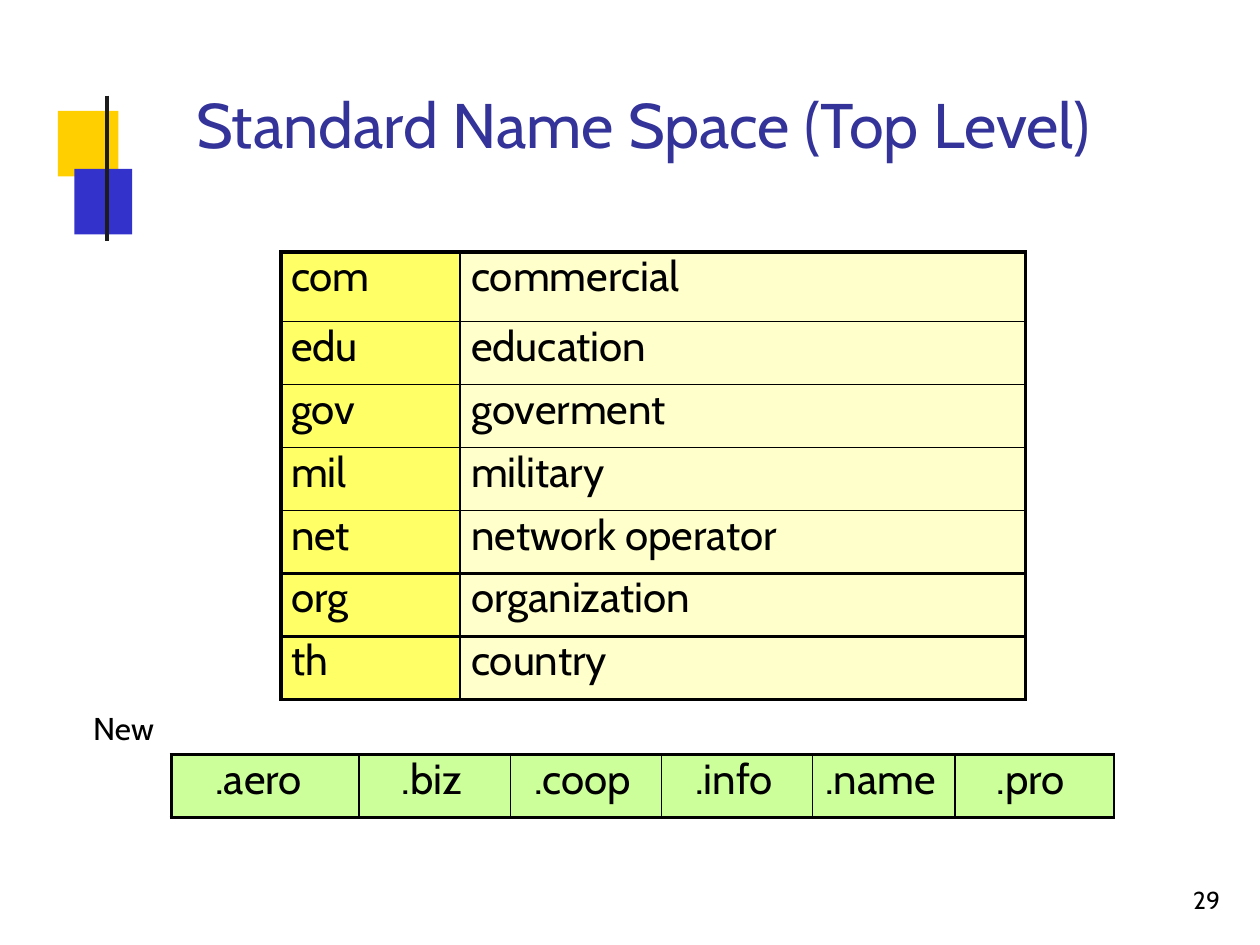
import pptx
import pptx.util
import pptx.dml.color
import pptx.enum.shapes
import pptx.enum.text
import pptx.oxml.ns
import lxml.etree

Inches = pptx.util.Inches
Pt = pptx.util.Pt
FONT = "Cabin"
THIN, THICK = 1, 2.25
DOMAINS = [
    ("com", "commercial"),
    ("edu", "education"),
    ("gov", "goverment"),
    ("mil", "military"),
    ("net", "network operator"),
    ("org", "organization"),
    ("th", "country"),
]
NEW_DOMAINS = [".aero", ".biz", ".coop", ".info", ".name", ".pro"]


def color(value):
    """Turn a hex string into a colour."""
    return pptx.dml.color.RGBColor.from_string(value)


def style_text(frame, text, size, ink="000000", indent=0, spacing=None):
    """Fill a text frame with one styled paragraph."""
    frame.text = text
    frame.margin_left = Inches(indent)
    frame.margin_top = frame.margin_right = frame.margin_bottom = 0
    para = frame.paragraphs[0]
    if spacing:
        para.line_spacing = Pt(spacing)
    font = para.runs[0].font
    font.name, font.size = FONT, Pt(size)
    font.color.rgb = color(ink)
    return para


def add_label(page, box, text, size, **style):
    """Add a text box and return its paragraph."""
    frame = page.shapes.add_textbox(*map(Inches, box)).text_frame
    frame.word_wrap = True
    return style_text(frame, text, size, **style)


def add_emblem(page, box):
    """Draw the two overlapping blocks and the upright rule."""
    left, top, width, height = box
    blocks = [(0, 0.12, 0.48, "FFCF00"), (0.13, 0.58, 0.46, "3333CC")]
    for x, y, block_width, fill in blocks:
        block = page.shapes.add_shape(
            pptx.enum.shapes.MSO_SHAPE.RECTANGLE,
            Inches(left + x), Inches(top + y), Inches(block_width), Inches(0.52))
        block.shadow.inherit = False
        block.fill.solid()
        block.fill.fore_color.rgb = color(fill)
        block.line.fill.background()
    x = Inches(left + width * 0.66)
    rule = page.shapes.add_connector(
        pptx.enum.shapes.MSO_CONNECTOR.STRAIGHT,
        x, Inches(top), x, Inches(top + height))
    rule.line.color.rgb = color("1C1C1C")
    rule.line.width = Pt(2.5)
    lxml.etree.SubElement(
        rule._element.spPr, pptx.oxml.ns.qn("a:effectLst"))


def set_borders(cell, widths):
    """Give a cell black left, right, top and bottom borders."""
    qn = pptx.oxml.ns.qn
    properties = cell._tc.get_or_add_tcPr()
    for side, width in zip("LRTB", widths):
        line = lxml.etree.SubElement(
            properties, qn(f"a:ln{side}"), w=str(Pt(width)))
        fill = lxml.etree.SubElement(line, qn("a:solidFill"))
        lxml.etree.SubElement(fill, qn("a:srgbClr"), val="000000")


def fill_cell(cell, text, fill, borders, indent, spacing):
    """Set the borders, fill and text of one table cell."""
    set_borders(cell, borders)
    cell.fill.solid()
    cell.fill.fore_color.rgb = color(fill)
    style_text(cell.text_frame, text, 24, indent=0, spacing=spacing)
    cell.margin_left = Inches(indent)
    cell.margin_top = cell.margin_right = cell.margin_bottom = 0


def add_grid(page, box, columns, rows):
    """Add a plain table with the given column widths and row heights."""
    grid = page.shapes.add_table(
        len(rows), len(columns), *map(Inches, box)).table
    grid.first_row = grid.horz_banding = False
    for column, width in zip(grid.columns, columns):
        column.width = Inches(width)
    for row, height in zip(grid.rows, rows):
        row.height = Inches(height)
    return grid


def add_domain_table(page, box):
    """List the standard domains with their meanings."""
    first_column = 1.42
    rows = [0.55] + [0.5] * (len(DOMAINS) - 1)
    grid = add_grid(page, box, [first_column, box[2] - first_column], rows)
    thick_edges = {0, 5, 6, 7}
    for index, names in enumerate(DOMAINS):
        top, bottom = (
            THICK if edge in thick_edges else THIN for edge in (index, index + 1))
        spacing = 28.5 if index in thick_edges else None
        name, meaning = names
        fill_cell(grid.cell(index, 0), name, "FFFF66",
                  (THICK, THIN, top, bottom), 0.08, spacing)
        fill_cell(grid.cell(index, 1), meaning, "FFFFCC",
                  (THIN, THICK, top, bottom), 0.09, spacing)


def add_new_domain_table(page, box):
    """Show the new domains in a single row."""
    columns = [1.49, 1.2, 1.2, 1.2, 1.13, 1.26]
    indents = [0.35, 0.34, 0.19, 0.27, 0.1, 0.33]
    grid = add_grid(page, box, columns, [box[3]])
    for index, (name, indent) in enumerate(zip(NEW_DOMAINS, indents)):
        left = THIN if index else THICK
        fill_cell(grid.cell(0, index), name, "CCFF99",
                  (left, THIN, THICK, THICK), indent, 28.5)


def main():
    """Build and save the slide."""
    deck = pptx.Presentation()
    deck.slide_width, deck.slide_height = Inches(10), Inches(7.5)
    page = deck.slides.add_slide(deck.slide_layouts[6])
    add_emblem(page, (0.46, 0.76, 0.59, 1.15))
    title = add_label(page, (1.35, 0.68, 7.51, 0.6),
                      "Standard Name Space (Top Level)", 36,
                      ink="333399", spacing=43.1)
    title.alignment = pptx.enum.text.PP_ALIGN.CENTER
    add_label(page, (9.24, 7.04, 0.47, 0.22), "29", 14,
              indent=0.23, spacing=15.5)
    add_domain_table(page, (2.23, 2, 5.91, 3.55))
    add_new_domain_table(page, (1.36, 5.99, 7.48, 0.5))
    add_label(page, (0.73, 5.63, 0.51, 0.31), "New", 18, indent=0.01)
    deck.save("out.pptx")


if __name__ == "__main__":
    main()
